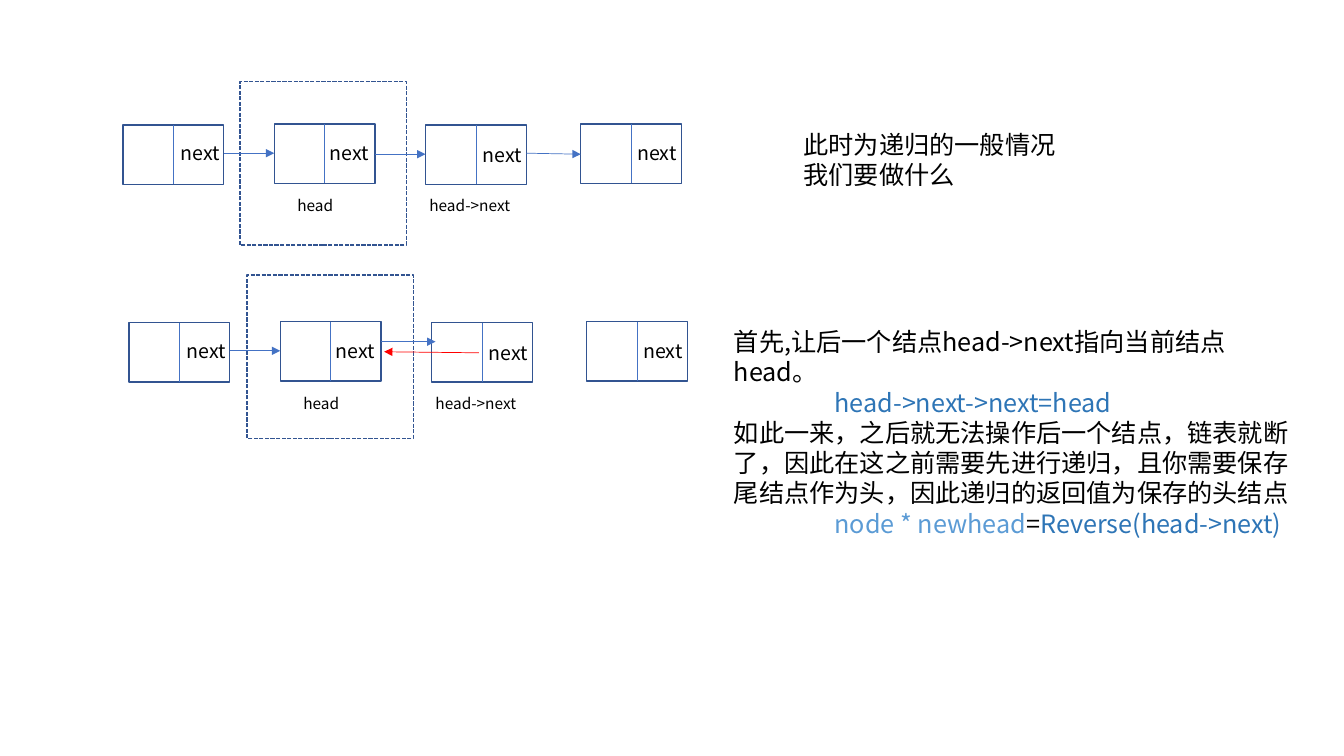
from dataclasses import dataclass

from lxml import etree
from pptx import Presentation
from pptx import util as u
from pptx.dml.color import RGBColor
from pptx.enum import dml, shapes, text
from pptx.oxml import ns


@dataclass(frozen=True)
class Theme:
    font: str = "Noto Sans CJK SC"
    paper: str = "FFFFFF"
    ink: str = "000000"
    edge: str = "325491"
    link: str = "4472C4"
    back: str = "FF0000"
    code: str = "2E75B6"
    pale: str = "5B9BD5"
    body: int = 18
    word: int = 14
    tag: int = 11
    thick: float = 1
    thin: float = 0.5


THEME = Theme()
WIDE, HIGH = 1, 0.59
NODES = [(1.22, 1.24), (2.72, 1.23), (4.22, 1.24), (5.76, 1.23)]
WORDS = [(1.69, 1.35), (3.17, 1.35), (4.69, 1.37), (6.22, 1.35)]
TAGS = [("head", 2.85), ("head->next", 4.16)]
SHIFT, DROP = 0.06, 1.96


def add_box(slide, left, top, width, height, dashed=False):
    box = slide.shapes.add_shape(
        shapes.MSO_SHAPE.RECTANGLE,
        u.Inches(left), u.Inches(top), u.Inches(width), u.Inches(height))
    box.shadow.inherit = False
    box.fill.solid()
    box.fill.fore_color.rgb = RGBColor.from_string(THEME.paper)
    box.line.color.rgb = RGBColor.from_string(THEME.edge)
    box.line.width = u.Pt(THEME.thick)
    if dashed:
        box.line.dash_style = dml.MSO_LINE.SQUARE_DOT


def add_line(slide, start, end, color=THEME.link, arrow=True):
    line = slide.shapes.add_connector(
        shapes.MSO_CONNECTOR.STRAIGHT,
        *(u.Inches(value) for value in (*start, *end)))
    line.line.color.rgb = RGBColor.from_string(color)
    line.line.width = u.Pt(THEME.thin)
    if arrow:
        etree.SubElement(line.line._get_or_add_ln(), ns.qn("a:tailEnd"), type="triangle")
    etree.SubElement(line._element.spPr, ns.qn("a:effectLst"))


def add_text(slide, left, top, width, height, size, lines):
    box = slide.shapes.add_textbox(
        u.Inches(left), u.Inches(top), u.Inches(width), u.Inches(height))
    frame = box.text_frame
    frame.word_wrap = True
    frame.auto_size = text.MSO_AUTO_SIZE.SHAPE_TO_FIT_TEXT
    for index, parts in enumerate(lines):
        para = frame.add_paragraph() if index else frame.paragraphs[0]
        para._p.get_or_add_pPr().set("defTabSz", str(u.Inches(1)))
        for words, color in parts:
            run = para.add_run()
            run.text = words
            run.font.size = u.Pt(size)
            run.font.color.rgb = RGBColor.from_string(color)
            run.font.name = THEME.font
            etree.SubElement(run.font._element, ns.qn("a:ea"), typeface=THEME.font)


def add_node(slide, left, top):
    add_box(slide, left, top, WIDE, HIGH)
    mid = left + WIDE / 2
    add_line(slide, (mid, top), (mid, top + HIGH), arrow=False)


def add_chain(slide, right=0, down=0):
    for left, top in NODES:
        add_node(slide, left + right, top + down)
    for left, top in WORDS:
        add_text(slide, left + right, top + down, 0.85, 0.34, THEME.word,
                 [[("next", THEME.ink)]])
    for name, left in TAGS:
        add_text(slide, left + right, 1.9 + down, 1.12, 0.29, THEME.tag,
                 [[(name, THEME.ink)]])
    add_line(slide, (2.22 + right, 1.52 + down), (2.72 + right, 1.52 + down))


def main():
    deck = Presentation()
    deck.slide_width, deck.slide_height = u.Inches(13.33), u.Inches(7.5)
    slide = deck.slides.add_slide(deck.slide_layouts[6])

    for left, top in [(2.45, 2.73), (2.38, 0.81)]:
        add_box(slide, left, top, 1.65, 1.62, dashed=True)

    add_chain(slide)
    add_line(slide, (3.72, 1.53), (4.22, 1.53))
    add_line(slide, (5.22, 1.52), (5.76, 1.53))

    add_chain(slide, SHIFT, DROP)
    add_line(slide, (4.75, 3.5), (3.81, 3.49), THEME.back)
    add_line(slide, (3.78, 3.39), (4.32, 3.39))

    add_text(slide, 7.87, 1.23, 4.24, 0.71, THEME.body, [
        [("此时为递归的一般情况", THEME.ink)],
        [("我们要做什么", THEME.ink)],
    ])
    add_text(slide, 7.18, 3.19, 5.9, 1.92, THEME.body, [
        [("首先,让后一个结点head->next指向当前结点head。", THEME.ink)],
        [("\t", THEME.ink), ("head->next->next=head", THEME.code)],
        [("如此一来，之后就无法操作后一个结点，链表就断了，"
          "因此在这之前需要先进行递归，且你需要保存尾结点作为头，"
          "因此递归的返回值为保存的头结点", THEME.ink)],
        [("\t", THEME.ink), ("node * newhead", THEME.pale), ("=", THEME.ink),
         ("Reverse(head->next)", THEME.code)],
    ])
    deck.save("out.pptx")


if __name__ == "__main__":
    main()
